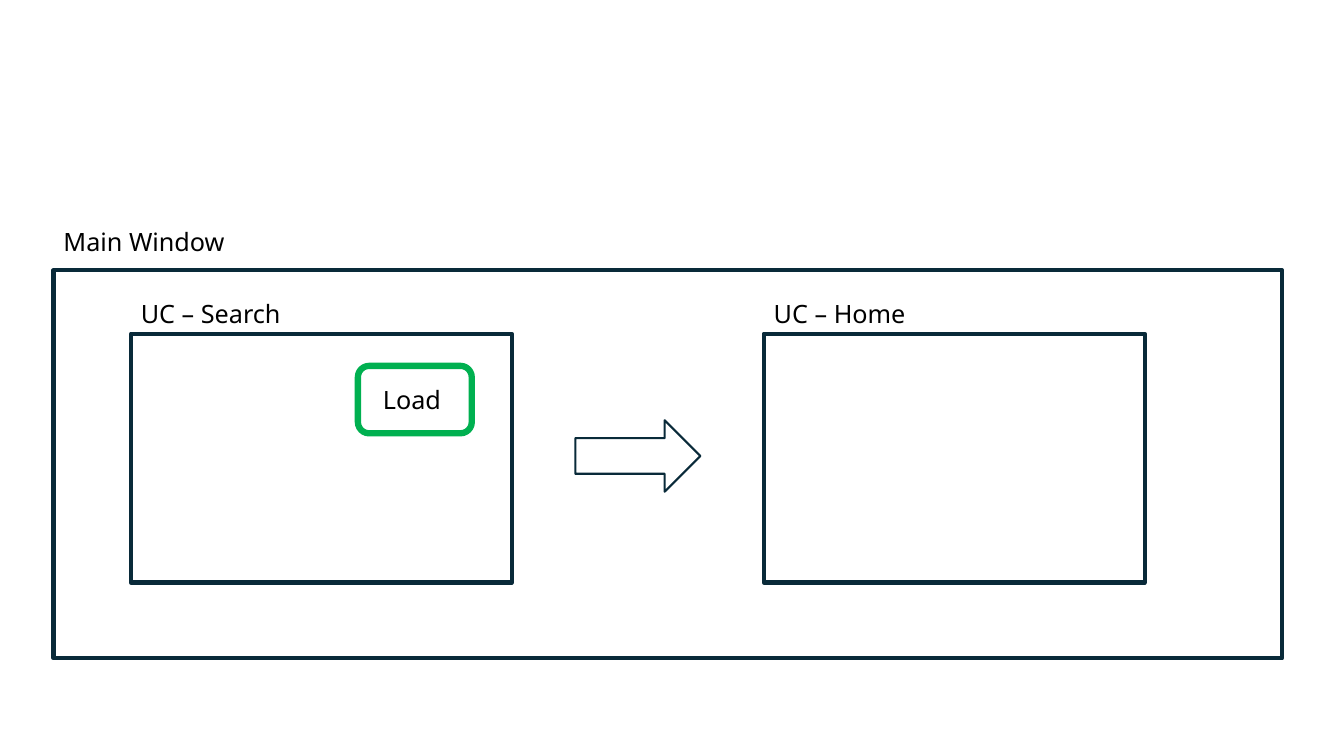
"""Build a slide showing the main window switching from the search to the home control."""
from dataclasses import dataclass

from pptx import Presentation
from pptx.dml.color import RGBColor
from pptx.enum.shapes import MSO_SHAPE
from pptx.enum.text import MSO_AUTO_SIZE
from pptx.slide import Slide
from pptx.util import Cm, Pt

RECTANGLE = MSO_SHAPE.RECTANGLE
ROUNDED = MSO_SHAPE.ROUNDED_RECTANGLE
RIGHT_ARROW = MSO_SHAPE.RIGHT_ARROW
GROW = MSO_AUTO_SIZE.SHAPE_TO_FIT_TEXT

COLORS = {"frame": "092A39", "button": "00B050", "text": "000000"}
FONT = "Noto Sans"
BLANK_LAYOUT = 6
LABEL_HEIGHT = 1.02


@dataclass(frozen=True)
class Outline:
    """An unfilled shape, with lengths in centimetres and line width in points."""

    left: float
    top: float
    width: float
    height: float
    line_width: float = 3
    preset: MSO_SHAPE = RECTANGLE
    color: str = "frame"


@dataclass(frozen=True)
class Label:
    """A line of text, with lengths in centimetres."""

    text: str
    left: float
    top: float
    width: float


@dataclass(frozen=True)
class UserControl:
    """A named control inside the main window."""

    name: str
    left: float


CONTROLS = (UserControl("UC – Search", 3.3), UserControl("UC – Home", 19.25))
CONTROL_TOP = 8.41
MAIN_WINDOW = Outline(1.35, 6.81, 30.96, 9.78)
LOAD_BUTTON = Outline(9.02, 9.22, 2.87, 1.7, 4.5, ROUNDED, "button")
TRANSITION = Outline(14.5, 10.59, 3.15, 1.8, 1.5, RIGHT_ARROW)


def draw_outline(slide: Slide, outline: Outline) -> None:
    """Draw an unfilled shape."""
    shape = slide.shapes.add_shape(
        outline.preset,
        Cm(outline.left), Cm(outline.top), Cm(outline.width), Cm(outline.height),
    )
    shape.shadow.inherit = False
    shape.fill.background()
    shape.line.color.rgb = RGBColor.from_string(COLORS[outline.color])
    shape.line.width = Pt(outline.line_width)


def draw_label(slide: Slide, label: Label) -> None:
    """Draw a line of text."""
    box = slide.shapes.add_textbox(
        Cm(label.left), Cm(label.top), Cm(label.width), Cm(LABEL_HEIGHT)
    )
    frame = box.text_frame
    frame.word_wrap = True
    frame.auto_size = GROW
    run = frame.paragraphs[0].add_run()
    run.text = label.text
    run.font.name = FONT
    run.font.size = Pt(18)
    run.font.color.rgb = RGBColor.from_string(COLORS["text"])


def main() -> None:
    """Build and save the presentation."""
    deck = Presentation()
    deck.slide_width, deck.slide_height = Cm(33.87), Cm(19.05)
    slide = deck.slides.add_slide(deck.slide_layouts[BLANK_LAYOUT])

    for control in CONTROLS:
        draw_outline(slide, Outline(control.left, CONTROL_TOP, 9.6, 6.27))
        label_top = CONTROL_TOP - LABEL_HEIGHT
        draw_label(slide, Label(control.name, control.left, label_top, 4.19))

    draw_outline(slide, LOAD_BUTTON)
    draw_label(slide, Label("Load", 9.4, 9.55, 2.24))
    draw_outline(slide, TRANSITION)
    draw_label(slide, Label("Main Window", MAIN_WINDOW.left, 5.59, 6.27))
    draw_outline(slide, MAIN_WINDOW)

    deck.save("out.pptx")


if __name__ == "__main__":
    main()
